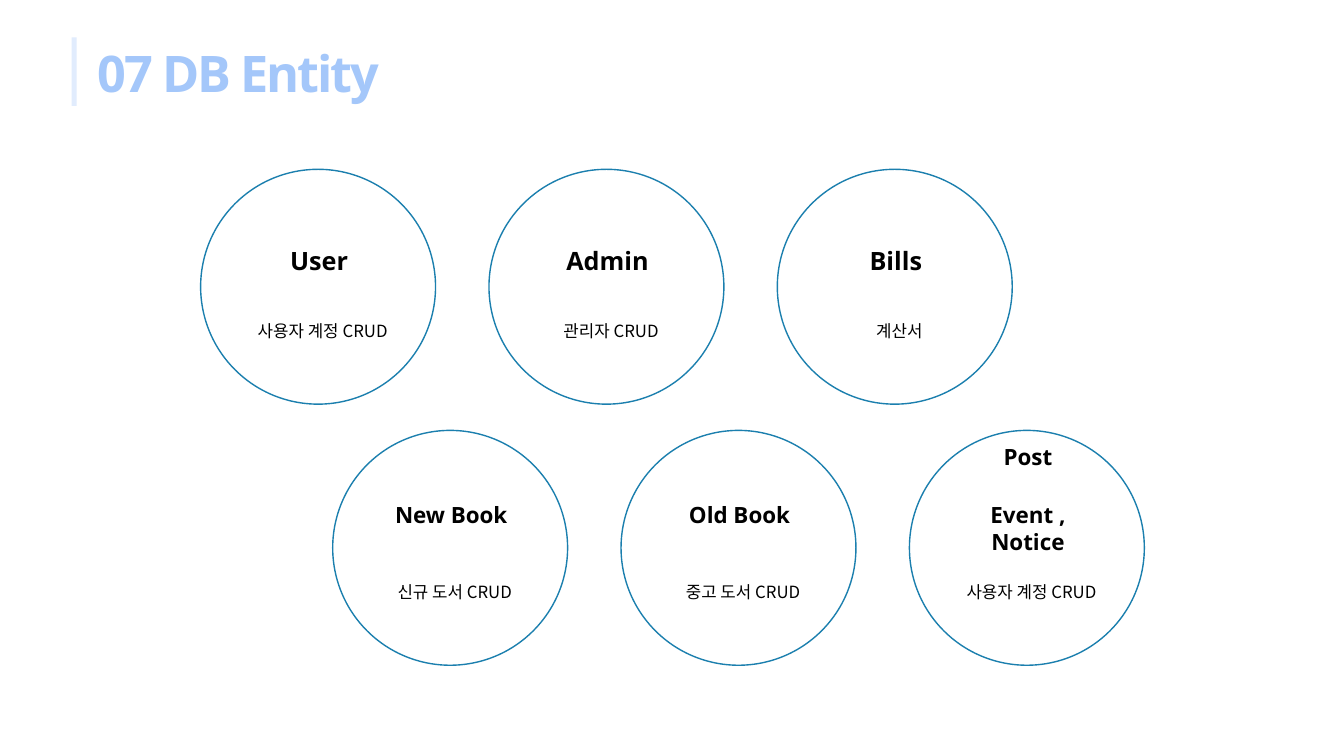
"""Build the DB Entity slide: two staggered rows of labelled circles."""
from dataclasses import dataclass

import pptx
import pptx.dml.color
import pptx.enum.shapes
import pptx.enum.text
import pptx.oxml.ns
import pptx.util
from lxml import etree

PX = 9144
COLORS = {"title": "A4C7FA", "bar": "E1ECFD", "ring": "1B7FAE", "text": "000000"}
LATIN, KOREAN = "Noto Sans", "Noto Sans CJK KR"
ALIGN = pptx.enum.text.PP_ALIGN
ANCHOR = pptx.enum.text.MSO_ANCHOR
FIT = pptx.enum.text.MSO_AUTO_SIZE
SHAPE = pptx.enum.shapes.MSO_SHAPE
SIZE, PITCH, INSET = 233, 286, 35


@dataclass(frozen=True)
class Label:
    text: str
    top: int


@dataclass(frozen=True)
class Node:
    names: tuple[Label, ...]
    note: str


@dataclass(frozen=True)
class Row:
    left: int
    top: int
    points: int
    nodes: tuple[Node, ...]


ROWS = (
    Row(199, 168, 18, (
        Node((Label("User", 70),), "사용자 계정 CRUD"),
        Node((Label("Admin", 70),), "관리자 CRUD"),
        Node((Label("Bills", 70),), "계산서"),
    )),
    Row(330, 427, 16, (
        Node((Label("New Book", 65),), "신규 도서 CRUD"),
        Node((Label("Old Book", 65),), "중고 도서 CRUD"),
        Node((Label("Post", 8), Label("Event , Notice", 65)), "사용자 계정 CRUD"),
    )),
)


def box(*sides: int) -> list[pptx.util.Emu]:
    return [pptx.util.Emu(side * PX) for side in sides]


def color(name: str) -> pptx.dml.color.RGBColor:
    return pptx.dml.color.RGBColor.from_string(COLORS[name])


def write(shape, text: str, *, size: int, font: str = LATIN, tint: str = "text",
          bold: bool = False, align=ALIGN.CENTER, anchor=ANCHOR.TOP,
          fit=FIT.SHAPE_TO_FIT_TEXT, leading: float = 1.0, track: int = 0) -> None:
    frame = shape.text_frame
    frame.word_wrap = True
    frame.auto_size = fit
    frame.vertical_anchor = anchor
    line = frame.paragraphs[0]
    line.alignment = align
    line.line_spacing = leading
    run = line.add_run()
    run.text = text
    run.font.size = pptx.util.Pt(size)
    run.font.bold = bold
    run.font.name = font
    run.font.color.rgb = color(tint)
    props = run.font._element
    east = etree.SubElement(props, pptx.oxml.ns.qn("a:ea"))
    east.set("typeface", font)
    if track:
        props.set("spc", str(track))


def draw(slide, row: Row, node: Node, left: int) -> None:
    group = slide.shapes.add_group_shape().shapes
    ring = group.add_shape(SHAPE.OVAL, *box(left, row.top, SIZE, SIZE))
    ring.shadow.inherit = False
    ring.fill.background()
    ring.line.color.rgb = color("ring")
    ring.line.width = pptx.util.Pt(1)
    note = group.add_textbox(*box(left + INSET, row.top + 135, 172, 40))
    write(note, node.note, size=12, font=KOREAN, leading=1.5)
    for name in node.names:
        label = group.add_textbox(*box(left + INSET, row.top + name.top, 165, 40))
        write(label, name.text, size=row.points, bold=True)


def main() -> None:
    deck = pptx.Presentation()
    deck.slide_width, deck.slide_height = box(1333, 750)
    slide = deck.slides.add_slide(deck.slide_layouts.get_by_name("Title Only"))
    title = slide.shapes.title
    title.left, title.top, title.width, title.height = box(87, 36, 568, 71)
    write(title, "07 DB Entity", size=36, tint="title", bold=True, align=ALIGN.LEFT,
          anchor=ANCHOR.MIDDLE, fit=FIT.NONE, track=-150)
    bar = slide.shapes.add_shape(SHAPE.RECTANGLE, *box(71, 37, 5, 68))
    bar.shadow.inherit = False
    bar.fill.solid()
    bar.fill.fore_color.rgb = color("bar")
    bar.line.fill.background()
    for row in ROWS:
        for index, node in enumerate(row.nodes):
            draw(slide, row, node, row.left + index * PITCH)
    deck.save("out.pptx")


if __name__ == "__main__":
    main()
